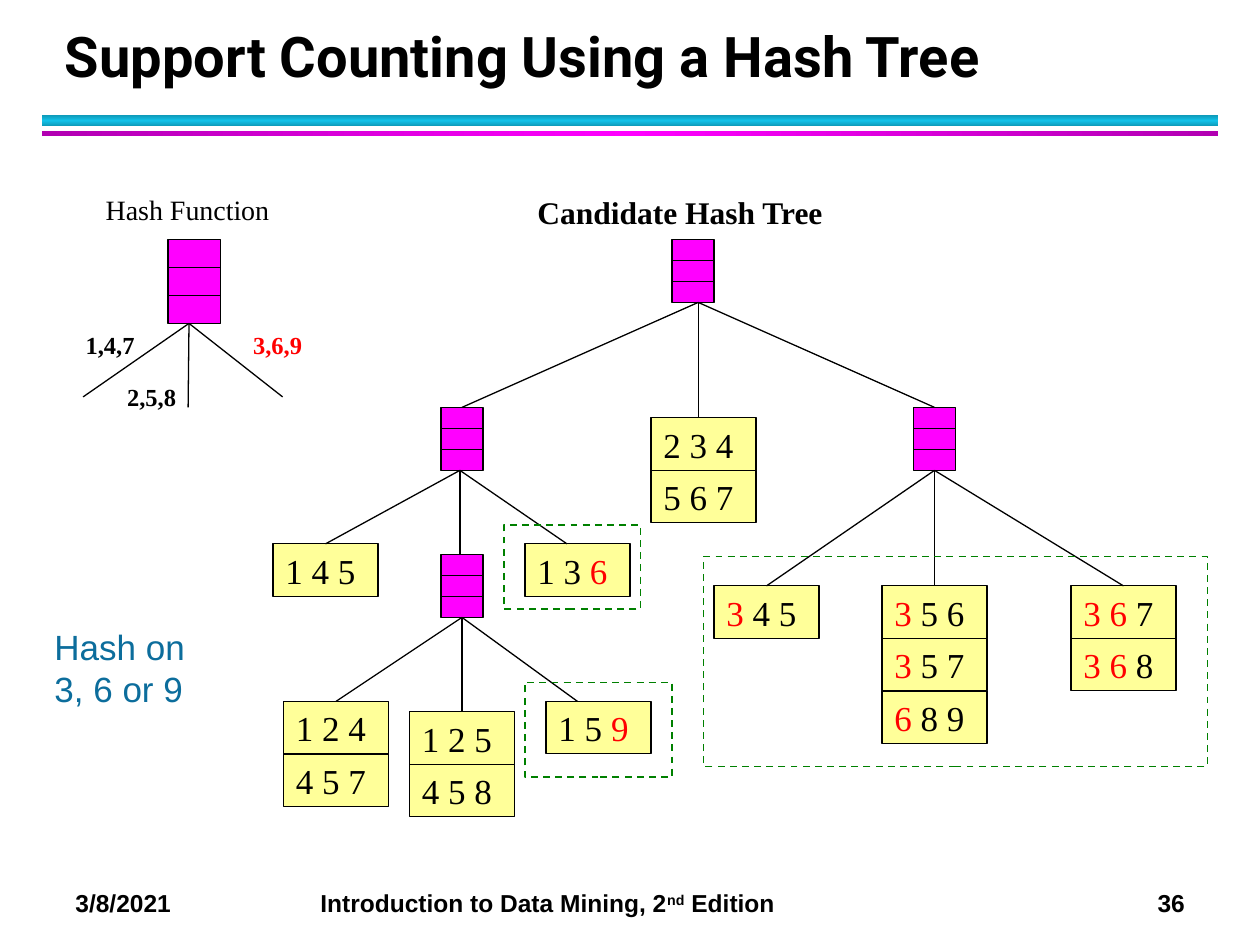
from copy import deepcopy

from pptx import Presentation
from pptx.dml.color import RGBColor
from pptx.enum.dml import MSO_LINE
from pptx.enum.shapes import MSO_CONNECTOR, MSO_SHAPE
from pptx.enum.text import MSO_ANCHOR, PP_ALIGN
from pptx.oxml.ns import qn
from pptx.util import Pt

RECT = MSO_SHAPE.RECTANGLE
STRAIGHT = MSO_CONNECTOR.STRAIGHT
DASH = MSO_LINE.DASH
LEFT = PP_ALIGN.LEFT
MIDDLE, BOTTOM, TOP = MSO_ANCHOR.MIDDLE, MSO_ANCHOR.BOTTOM, MSO_ANCHOR.TOP
TOP_SITE, BOTTOM_SITE = 0, 2
SERIF = "Times New Roman"
COLORS = {
    "black": "000000", "red": "FF0000", "magenta": "FF00FF",
    "plum": "B200B2", "cyan": "12C2E9", "teal": "0E9BBA",
    "yellow": "FFFF99", "green": "008000", "blue": "0C6D9C",
}
RGB = {name: RGBColor.from_string(value) for name, value in COLORS.items()}

deck = Presentation()
deck.slide_width, deck.slide_height = Pt(720), Pt(540)
page = deck.slides.add_slide(deck.slide_layouts[6])
shapes = page.shapes


def write(box, runs, size, font, bold=False, anchor=TOP, wrap=False):
    """Fill the box with one paragraph of (text, colour) runs."""
    frame = box.text_frame
    frame.word_wrap = wrap
    frame.vertical_anchor = anchor
    para = frame.paragraphs[0]
    para.alignment = LEFT
    for text, color in runs:
        span = para.add_run()
        span.text = text
        span.font.size = Pt(size)
        span.font.name = font
        span.font.bold = bold
        span.font.color.rgb = RGB[color]
    return para


def draw_line(start, end):
    """Draw a thin line; an end is a point or a rectangle to join."""
    points = [end_ if isinstance(end_, tuple) else (0, 0) for end_ in (start, end)]
    line = shapes.add_connector(STRAIGHT, *[Pt(v) for point in points for v in point])
    if not isinstance(start, tuple):
        line.begin_connect(start, BOTTOM_SITE)
    if not isinstance(end, tuple):
        line.end_connect(end, TOP_SITE)
    line.line.color.rgb = RGB["black"]
    line.line.width = Pt(0.75)
    properties = line._element.spPr
    properties.append(properties.makeelement(qn("a:effectLst"), {}))


# Double rule under the title
for top, height, angle, edge, center in [
    (66, 6, 90, "teal", "cyan"),
    (75, 3, 0, "plum", "magenta"),
]:
    rule = shapes.add_shape(RECT, Pt(24), Pt(top), Pt(672), Pt(height))
    rule.shadow.inherit = False
    rule.line.fill.background()
    rule.fill.gradient()
    rule.fill.gradient_angle = angle
    stop_list = rule._element.spPr.find(".//" + qn("a:gsLst"))
    stop_list.append(deepcopy(stop_list[0]))
    for stop, position, color in zip(
        rule.fill.gradient_stops, (0, 0.5, 1), (edge, center, edge)
    ):
        stop.position = position
        stop.color.rgb = RGB[color]

# Title
box = shapes.add_textbox(Pt(30), Pt(12), Pt(652), Pt(42))
para = write(box, [("Support Counting Using a Hash Tree", "black")], 32, "Roboto",
             bold=True, anchor=BOTTOM, wrap=True)
para.line_spacing = Pt(36)

# Footer, spaced by tab stops
box = shapes.add_textbox(Pt(36), Pt(504), Pt(672), Pt(24.5))
para = write(box, [
    ("3/8/2021\tIntroduction to Data Mining, 2", "black"),
    ("nd", "black"),
    (" Edition\t36", "black"),
], 14, "Arial", bold=True, wrap=True)
para.runs[1].font._element.set("baseline", "30000")
settings = para._p.get_or_add_pPr()
tabs = settings.makeelement(qn("a:tabLst"), {})
settings.append(tabs)
for position, side in [(140, "l"), (634, "r")]:
    tabs.append(tabs.makeelement(qn("a:tab"), {"pos": str(Pt(position)), "algn": side}))

# Hash nodes, each split into three buckets
nodes = {}
for name, left, top, width, height in [
    ("function", 96, 136.8, 30, 48),
    ("root", 384, 136.8, 24, 36),
    ("left", 252, 232.8, 24, 36),
    ("right", 522, 232.8, 24, 36),
    ("inner", 252, 316.8, 24, 36),
]:
    node = shapes.add_shape(RECT, Pt(left), Pt(top), Pt(width), Pt(height))
    node.shadow.inherit = False
    node.fill.solid()
    node.fill.fore_color.rgb = RGB["magenta"]
    node.line.color.rgb = RGB["black"]
    node.line.width = Pt(0.75)
    nodes[name] = node
    for bucket in (1, 2):
        y = top + height * bucket / 3
        draw_line((left, y), (left + width, y))

# Leaves: stacked candidate itemsets, keyed by their first one
ROW = 30
for left, top, itemsets in [
    (156, 310.8, [[("1 4 5", "black")]]),
    (300, 310.8, [[("1 3 ", "black"), ("6", "red")]]),
    (372, 238.8, [[("2 3 4", "black")], [("5 6 7", "black")]]),
    (162, 400.8, [[("1 2 4", "black")], [("4 5 7", "black")]]),
    (234, 406.8, [[("1 2 5", "black")], [("4 5 8", "black")]]),
    (312, 400.8, [[("1 5 ", "black"), ("9", "red")]]),
    (408, 334.8, [[("3", "red"), (" 4 5", "black")]]),
    (504, 334.8, [[("3", "red"), (" 5 6", "black")],
                  [("3", "red"), (" 5 7", "black")],
                  [("6", "red"), (" 8 9", "black")]]),
    (612, 334.8, [[("3 6", "red"), (" 7", "black")],
                  [("3 6", "red"), (" 8", "black")]]),
]:
    for row, runs in enumerate(itemsets):
        leaf = shapes.add_shape(RECT, Pt(left), Pt(top + row * ROW), Pt(60), Pt(ROW))
        leaf.shadow.inherit = False
        leaf.fill.solid()
        leaf.fill.fore_color.rgb = RGB["yellow"]
        leaf.line.color.rgb = RGB["black"]
        leaf.line.width = Pt(0.75)
        write(leaf, runs, 20, SERIF, anchor=MIDDLE)
        if row == 0:
            nodes["".join(text for text, color in runs)] = leaf

# Branches
for start, ends in [
    ((108, 184.8), [(47.5, 226.8), (107.5, 232.8), (161.5, 226.8)]),
    ((399, 172.8), ["left", (399, 238.8), "right"]),
    ((262.8, 268.8), ["1 4 5", (262.8, 316.8), (324, 310.8)]),
    ("right", ["3 4 5", "3 5 6", "3 6 7"]),
    ("inner", ["1 2 4", "1 2 5", (330, 400.8)]),
]:
    for end in ends:
        draw_line(nodes.get(start, start), nodes.get(end, end))

# Labels
for left, top, width, height, text, size, bold, color in [
    (41.8, 185, 42.5, 24, "1,4,7", 14, True, "black"),
    (65.5, 214.6, 42.5, 24, "2,5,8", 14, True, "black"),
    (137.5, 185, 42.5, 24, "3,6,9", 14, True, "red"),
    (53.3, 106.6, 109, 26.6, "Hash Function", 16, False, "black"),
    (300, 106.6, 179, 29, "Candidate Hash Tree", 18, True, "black"),
]:
    box = shapes.add_textbox(Pt(left), Pt(top), Pt(width), Pt(height))
    write(box, [(text, color)], size, SERIF, bold=bold)

box = shapes.add_textbox(Pt(24), Pt(354), Pt(90), Pt(55.5))
write(box, [("Hash on 3, 6 or 9", "blue")], 20, "Arial", wrap=True)

# Dashed frames around the leaves reached by 3, 6 or 9
for left, top, width, height in [
    (300, 390, 84, 54), (402, 318, 288, 120), (288, 300, 78, 48),
]:
    frame = shapes.add_shape(RECT, Pt(left), Pt(top), Pt(width), Pt(height))
    frame.shadow.inherit = False
    frame.fill.background()
    frame.line.color.rgb = RGB["green"]
    frame.line.width = Pt(1)
    frame.line.dash_style = DASH

deck.save("out.pptx")
